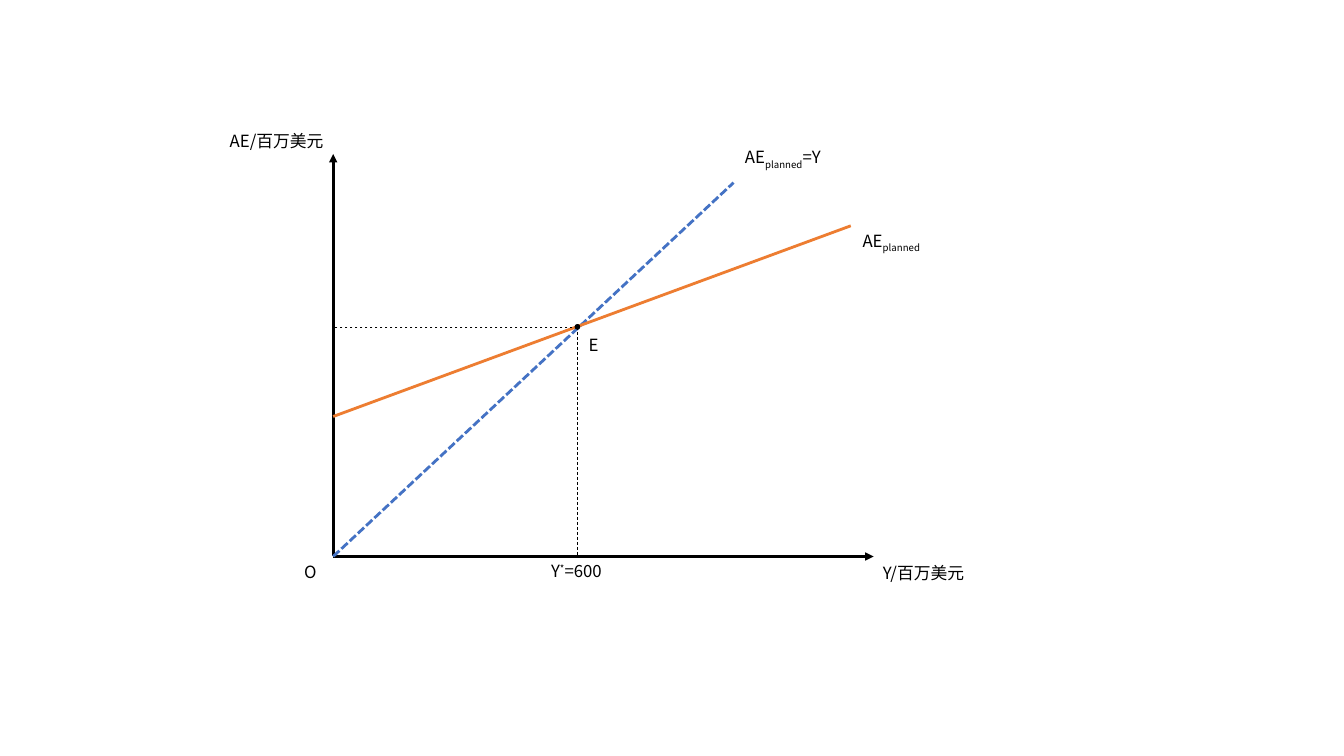
from lxml.etree import SubElement
from pptx import Presentation
from pptx.dml.color import RGBColor
from pptx.enum.dml import MSO_LINE
from pptx.enum.shapes import MSO_CONNECTOR, MSO_SHAPE
from pptx.enum.text import MSO_AUTO_SIZE
from pptx.oxml.ns import qn
from pptx.util import Pt

BLACK = RGBColor(0x00, 0x00, 0x00)
BLUE = RGBColor(0x44, 0x72, 0xC4)
ORANGE = RGBColor(0xED, 0x7D, 0x31)
FONT = "Noto Sans CJK SC"
STRAIGHT = MSO_CONNECTOR.STRAIGHT
OVAL = MSO_SHAPE.OVAL
DASH = MSO_LINE.DASH
DOTS = MSO_LINE.SQUARE_DOT
GROW = MSO_AUTO_SIZE.SHAPE_TO_FIT_TEXT

BOX = (238, 110, 386, 287.5)
CROSS = (174.5, 164)
DOT = 3
HIGH = 21.8
SUB, SUPER = -25000, 30000


def style(item, values):
    """Set each attribute of item from a dict of values."""
    for name, value in values.items():
        setattr(item, name, value)


def draw_line(slide, start, end, color, width, dash=None, arrow=False):
    """Draw a straight line between two slide points."""
    line = slide.shapes.add_connector(STRAIGHT, *map(Pt, start + end))
    line.line.color.rgb = color
    style(line.line, {"width": Pt(width), "dash_style": dash})
    if arrow:
        SubElement(line.line._get_or_add_ln(), qn("a:tailEnd"), type="triangle")
    SubElement(line._element.spPr, qn("a:effectLst"))


def draw_label(slide, spot, width, runs, wrap=False):
    """Place a label whose runs are pairs of text and baseline shift."""
    label = slide.shapes.add_textbox(*map(Pt, spot + (width, HIGH)))
    style(label.text_frame, {"word_wrap": wrap, "auto_size": GROW})
    for text, shift in runs:
        run = label.text_frame.paragraphs[0].add_run()
        run.text = text
        style(run.font, {"size": Pt(12), "name": FONT})
        run.font.color.rgb = BLACK
        props = run._r.get_or_add_rPr()
        SubElement(props, qn("a:ea"), typeface=FONT)
        if shift:
            props.set("baseline", str(shift))


def draw_dot(slide, spot):
    """Mark a point with a small black dot centred on it."""
    corner = [Pt(value - DOT / 2) for value in spot]
    dot = slide.shapes.add_shape(OVAL, *corner, Pt(DOT), Pt(DOT))
    dot.shadow.inherit = False
    dot.fill.solid()
    dot.fill.fore_color.rgb = BLACK
    dot.line.color.rgb = BLACK
    dot.line.width = Pt(1)


def draw_graph(slide, box):
    """Draw the axes, curves, guides and labels in the given box."""
    left, top, width, height = box

    def place(right, up):
        """Turn an offset from the origin into a slide point."""
        return left + right, top + height - up

    across, above = CROSS
    lines = [
        ((0, 0), (0, height), BLACK, 2, None, True),
        ((0, 0), (width, 0), BLACK, 2, None, True),
        ((0, 0), (286, 267), BLUE, 2, DOTS),
        ((0, 100), (369.7, 236.2), ORANGE, 2),
        (CROSS, (across, 0), BLACK, 0.5, DASH),
        (CROSS, (0, above), BLACK, 0.5, DASH),
    ]
    for start, end, *look in lines:
        draw_line(slide, place(*start), place(*end), *look)
    draw_dot(slide, place(*CROSS))

    planned = [("AE", 0), ("planned", SUB)]
    labels = [
        ((-81, height + 20), 81.4, [("AE/百万美元", 0)], True),
        ((width - 0.5, -0.7), 74.2, [("Y/百万美元", 0)], True),
        ((across - 26, 0.8), 51.8, [("Y", 0), ("*", SUPER), ("=600", 0)]),
        ((-27.8, 0), 23.8, [("O", 0)]),
        ((287, 296), 71.3, planned + [("=Y", 0)]),
        ((371, 236.2), 56.2, planned),
        ((across + 0.8, above - 2), 20.9, [("E", 0)]),
    ]
    for spot, *rest in labels:
        draw_label(slide, place(*spot), *rest)


def main():
    """Build the slide and save it."""
    deck = Presentation()
    style(deck, {"slide_width": Pt(960), "slide_height": Pt(540)})
    slide = deck.slides.add_slide(deck.slide_layouts[6])
    draw_graph(slide, BOX)
    deck.save("out.pptx")


if __name__ == "__main__":
    main()
